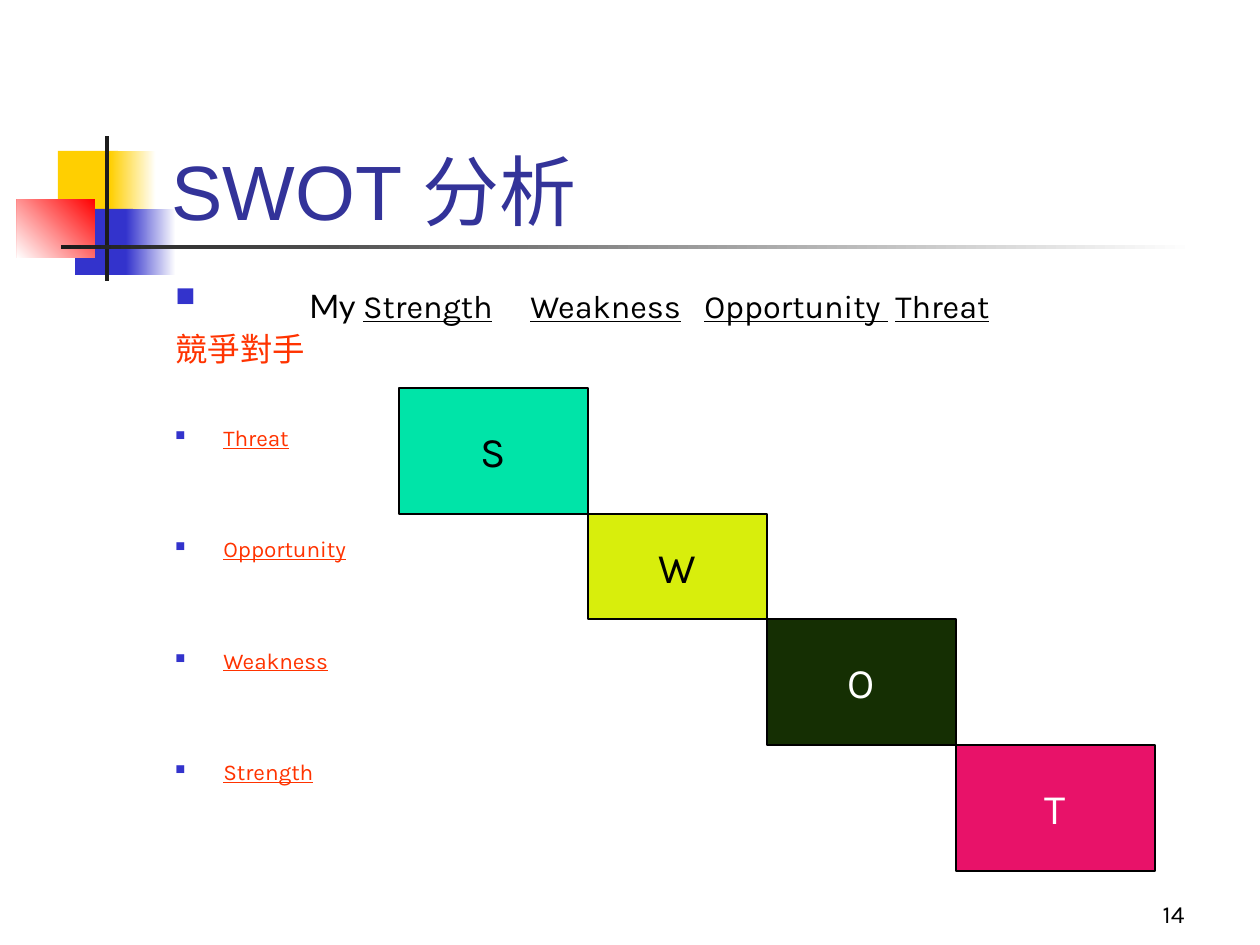
from pptx import Presentation
from pptx.dml.color import RGBColor
from pptx.enum.shapes import MSO_SHAPE
from pptx.enum.text import MSO_ANCHOR, MSO_AUTO_SIZE, PP_ALIGN
from pptx.oxml.ns import qn
from pptx.util import Emu, Pt
from lxml.etree import SubElement

PX = 914400 // 126
COLORS = {
    "title": "333399", "text": "000000", "light": "FFFFFF", "rival": "FF3300",
    "gold": "FFCF01", "blue": "3333CC", "red": "FF0000", "rule": "1C1C1C",
    "strength": "00E4A8", "weakness": "D8EE0C",
    "opportunity": "152F03", "threat": "E81269",
}


def color(name):
    return RGBColor.from_string(COLORS[name])


class SlideBuilder:
    def __init__(self, slide, font="Karla"):
        self.s = slide
        self.font = font

    def run(self, p, text, size, col="text", **format_values):
        r = p.add_run()
        r.text = text
        values = {"name": self.font, "size": Pt(size), **format_values}
        for key, value in values.items():
            setattr(r.font, key, value)
        r.font.color.rgb = color(col)

    def frame(self, sp, anchor=MSO_ANCHOR.TOP, wrap=True):
        tf = sp.text_frame
        values = {"auto_size": MSO_AUTO_SIZE.NONE, "word_wrap": wrap,
                  "vertical_anchor": anchor}
        for key, value in values.items():
            setattr(tf, key, value)
        return tf

    def title(self, text, *box):
        sp = self.s.shapes.title
        for key, value in zip(("left", "top", "width", "height"), box):
            setattr(sp, key, Emu(value * PX))
        p = self.frame(sp, MSO_ANCHOR.BOTTOM).paragraphs[0]
        p.alignment = PP_ALIGN.LEFT
        self.run(p, text, 44, "title", name="Arial")
        sp.element.getparent().append(sp.element)  # bring in front of the ornament

    def rect(self, box, fill, fade_angle=None, outline=False):
        """Rectangle; with fade_angle its fill fades to white in that direction."""
        sp = self.s.shapes.add_shape(MSO_SHAPE.RECTANGLE, *(v * PX for v in box))
        sp.shadow.inherit = False
        if fade_angle is None:
            sp.fill.solid()
            sp.fill.fore_color.rgb = color(fill)
        else:
            sp.fill.gradient()
            sp.fill.gradient_angle = fade_angle
            for stop, name in zip(sp.fill.gradient_stops, (fill, "light")):
                stop.color.rgb = color(name)
        if outline:
            sp.line.color.rgb = color("text")
            sp.line.width = Pt(1)
        else:
            sp.line.fill.background()
        return sp

    def letter_box(self, box, letter, fill, col):
        tf = self.frame(self.rect(box, fill, outline=True), MSO_ANCHOR.MIDDLE, False)
        p = tf.paragraphs[0]
        p.alignment = PP_ALIGN.CENTER
        self.run(p, letter, 24, col)

    def text_box(self, *box, anchor=MSO_ANCHOR.TOP):
        return self.frame(self.s.shapes.add_textbox(*(v * PX for v in box)), anchor)

    def paragraph(self, p, before, bullet=True, tabs=()):
        pPr = p._p.get_or_add_pPr()
        pPr.set("marL", str(48 * PX))
        pPr.set("indent", str(-48 * PX))
        if bullet:
            clr = SubElement(pPr, qn("a:buClr"))
            SubElement(clr, qn("a:srgbClr"), val=COLORS["blue"])
            SubElement(pPr, qn("a:buSzPct"), val="60000")
            SubElement(pPr, qn("a:buChar"), char="■")
        if tabs:
            tab_list = SubElement(pPr, qn("a:tabLst"))
            for pos in tabs:
                SubElement(tab_list, qn("a:tab"), pos=str(pos * PX), algn="l")
        p.line_spacing = 0.8
        p.space_before = Pt(before)
        return p


def main():
    prs = Presentation()
    prs.slide_width, prs.slide_height = 1260 * PX, 945 * PX
    b = SlideBuilder(prs.slides.add_slide(prs.slide_layouts[5]))

    for box, fill, angle in (
        ((58, 151, 60, 66), "gold", None),
        ((110, 151, 46, 66), "gold", 0),
        ((75, 209, 58, 66), "blue", None),
        ((126, 209, 50, 66), "blue", 0),
        ((17, 199, 78, 59), "red", 225),
        ((105, 136, 4, 145), "rule", None),
        ((61, 245, 1134, 4), "rule", 0),
    ):
        b.rect(box, fill, angle)
    b.title("SWOT 分析", 159, 85, 1073, 157)

    tf = b.text_box(163, 278, 1071, 567)
    p = b.paragraph(tf.paragraphs[0], 0, tabs=(134, 355, 529, 720))
    b.run(p, "\t", 25.9)
    b.run(p, "My ", 18.5, name="Lato")
    for i, word in enumerate(("Strength", "Weakness", "Opportunity ", "Threat")):
        if i:
            b.run(p, "\t", 18.5)
        b.run(p, word, 18.5, underline=True)
    p = b.paragraph(tf.add_paragraph(), 5, bullet=False)
    b.run(p, "競爭對手", 18.5, "rival")
    for i, word in enumerate(("Threat", "Opportunity", "Weakness", "Strength")):
        p = b.paragraph(tf.add_paragraph(), 51.2 if i else 35.3)
        b.run(p, word, 12.9, "rival", underline=True)

    x, y = 399, 388
    for letter, fill, col, w, h in (
        ("S", "strength", "text", 189, 126),
        ("W", "weakness", "text", 179, 105),
        ("O", "opportunity", "light", 189, 126),
        ("T", "threat", "light", 199, 126),
    ):
        b.letter_box((x, y, w, h), letter, fill, col)
        x, y = x + w, y + h

    p = b.text_box(935, 872, 262, 63, anchor=MSO_ANCHOR.BOTTOM).paragraphs[0]
    p.alignment = PP_ALIGN.RIGHT
    b.run(p, "14", 14)

    prs.save("out.pptx")


if __name__ == "__main__":
    main()
